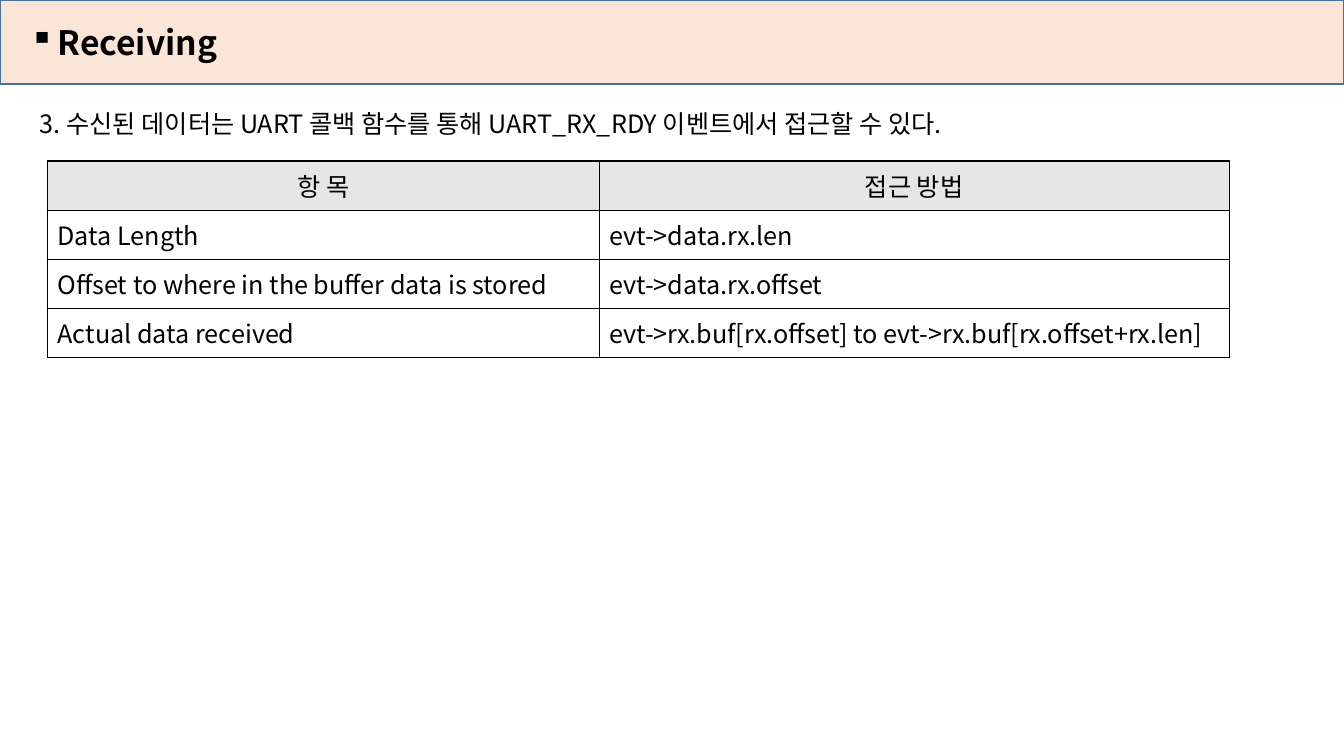
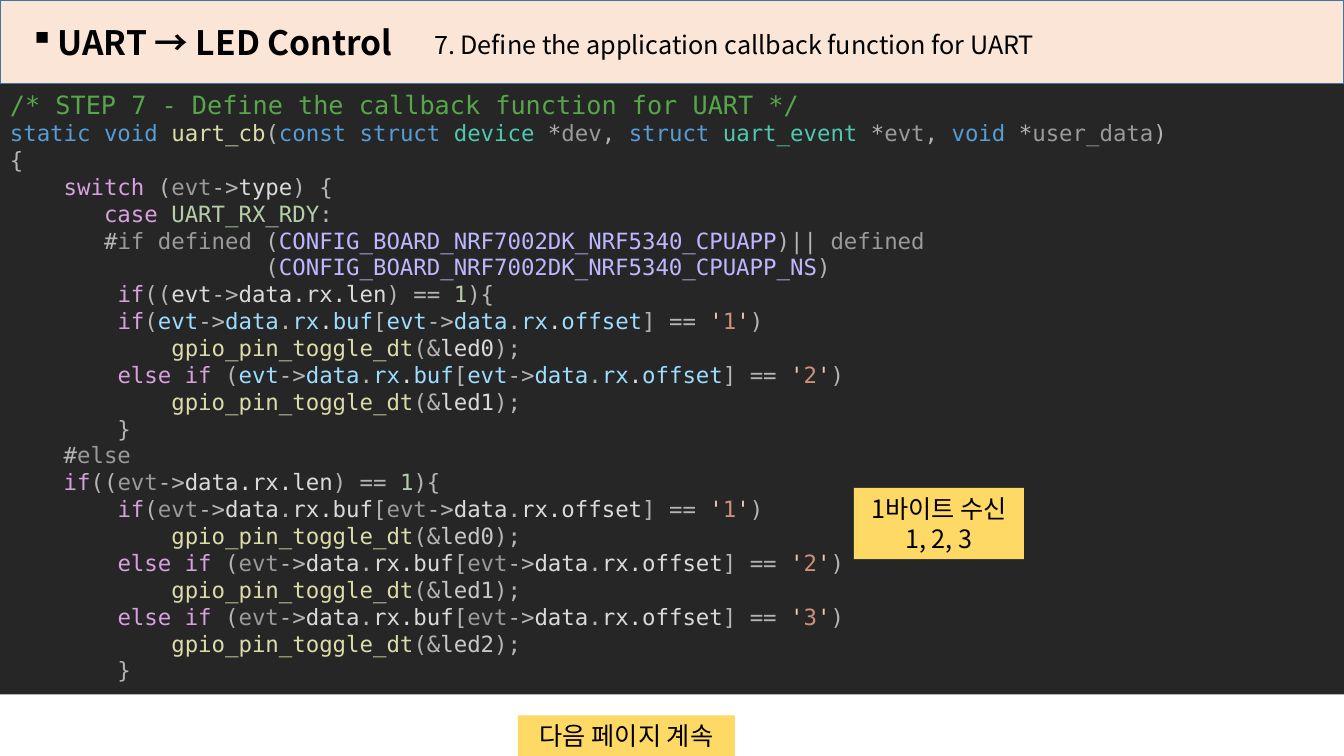
from itertools import groupby

from lxml.etree import SubElement
from pptx import Presentation
from pptx.dml.color import RGBColor
from pptx.enum.shapes import MSO_SHAPE as Shape
from pptx.enum.text import MSO_ANCHOR as Anchor, MSO_AUTO_SIZE as AutoSize, PP_ALIGN as Align
from pptx.oxml.ns import qn
from pptx.util import Pt

COLORS = {
    "black": "000000", "band": "FBE5D6", "band line": "43739E",
    "header": "E7E6E6", "panel": "262626", "label": "FFD966",
    "comment": "57A64A", "keyword": "569CD6", "control": "D8A0DF",
    "function": "DCDCAA", "type": "4EC9B0", "name": "9A9A9A",
    "macro": "BEB7FF", "constant": "B5CEA8", "member": "9CDCFE",
    "plain": "DADADA", "soft": "C8C8C8", "punctuation": "B4B4B4",
    "quote": "E8C9BB", "character": "CE9178",
}
TEXT_FONT = "Noto Sans CJK KR"
CODE_FONT = "DejaVu Sans Mono"
SLIDE_W, SLIDE_H, BAND_H = 960, 540, 60

RECEIVING = {
    "title": "Receiving",
    "step": "3. 수신된 데이터는 UART 콜백 함수를 통해 UART_RX_RDY 이벤트에서 접근할 수 있다.",
    "access": [
        ("항 목", "접근 방법"),
        ("Data Length", "evt->data.rx.len"),
        ("Offset to where in the buffer data is stored", "evt->data.rx.offset"),
        ("Actual data received", "evt->rx.buf[rx.offset] to evt->rx.buf[rx.offset+rx.len]"),
    ],
}
LED_CONTROL = {
    "title": "UART → LED Control",
    "step": "7. Define the application callback function for UART",
    "labels": [
        (["1바이트 수신", "1, 2, 3"], (610, 348.5, 121.5, 51)),
        (["다음 페이지 계속"], (370, 511, 155, 29)),
    ],
}
CODE = [
    ("/* STEP 7 - Define the callback function for UART */", "comment"),
    ("static void uart_cb(const struct device *dev, struct uart_event *evt, void *user_data)", ""),
    ("{", ""),
    ("    switch (evt->type) {", ""),
    ("       case UART_RX_RDY:", ""),
    ("       #if defined (CONFIG_BOARD_NRF7002DK_NRF5340_CPUAPP)|| defined", "directive"),
    ("                   (CONFIG_BOARD_NRF7002DK_NRF5340_CPUAPP_NS)", "directive"),
    ("        if((evt->data.rx.len) == 1){", "plain event"),
    ("        if(evt->data.rx.buf[evt->data.rx.offset] == '1')", "members"),
    ("            gpio_pin_toggle_dt(&led0);", ""),
    ("        else if (evt->data.rx.buf[evt->data.rx.offset] == '2')", "members"),
    ("            gpio_pin_toggle_dt(&led1);", ""),
    ("        }", ""),
    ("    #else", "directive"),
    ("    if((evt->data.rx.len) == 1){", ""),
    ("        if(evt->data.rx.buf[evt->data.rx.offset] == '1')", ""),
    ("            gpio_pin_toggle_dt(&led0);", "soft leds"),
    ("        else if (evt->data.rx.buf[evt->data.rx.offset] == '2')", ""),
    ("            gpio_pin_toggle_dt(&led1);", "soft leds"),
    ("        else if (evt->data.rx.buf[evt->data.rx.offset] == '3')", ""),
    ("            gpio_pin_toggle_dt(&led2);", "soft leds"),
    ("        }", ""),
]
VOCABULARY = {
    "keyword": "static void const struct",
    "control": "switch case if else",
    "function": "uart_cb gpio_pin_toggle_dt",
    "type": "device uart_event",
    "name": "dev evt user_data",
    "macro": "CONFIG_BOARD_NRF7002DK_NRF5340_CPUAPP CONFIG_BOARD_NRF7002DK_NRF5340_CPUAPP_NS",
    "constant": "UART_RX_RDY 1",
}
WORDS = {word: color for color, words in VOCABULARY.items() for word in words.split()}
EXCEPTIONS = {
    "directive": dict.fromkeys(["if", "else", "defined"], "name"),
    "plain event": {"evt": "plain"},
    "members": dict.fromkeys(["evt", "data", "rx", "buf", "offset"], "member"),
    "soft leds": dict.fromkeys(["led0", "led1", "led2"], "soft"),
}


def rgb(color):
    return RGBColor.from_string(COLORS[color])


def token_kind(char):
    if char.isalnum() or char == "_":
        return "word"
    return char if char in ".'" else "punctuation"


def highlight(line, mode):
    if mode == "comment":
        return [(line, "comment")]
    words = WORDS | EXCEPTIONS.get(mode, {})
    runs, previous = [], ""
    for kind, chars in groupby(line, token_kind):
        token = "".join(chars)
        if kind == "word":
            color = "character" if previous == "'" else words.get(token, "plain")
        elif kind == "'":
            color = "quote"
        elif kind == "." and (previous == "rx" or ".len" in line):
            color = "plain"
        else:
            color = "punctuation"
        runs.append((token, color))
        previous = token
    return runs


def write(frame, paragraphs, size=18, font=TEXT_FONT, color="black", bold=False,
          align=Align.LEFT, anchor=Anchor.TOP, spacing=None, bullet=None):
    frame.word_wrap = True
    frame.vertical_anchor = anchor
    for index, content in enumerate(paragraphs):
        paragraph = frame.add_paragraph() if index else frame.paragraphs[0]
        paragraph.alignment = align
        if spacing:
            paragraph.line_spacing = Pt(spacing)
        if bullet:
            properties = paragraph._p.get_or_add_pPr()
            properties.set("marL", str(Pt(34)))
            properties.set("indent", str(-Pt(20)))
            SubElement(properties, qn("a:buChar"), char=bullet)
        for text, run_color in [(content, color)] if isinstance(content, str) else content:
            run = paragraph.add_run()
            run.text = text
            run.font.size = Pt(size)
            run.font.bold = bold
            run.font.name = font
            run.font.color.rgb = rgb(run_color)
            SubElement(run._r.get_or_add_rPr(), qn("a:ea"), typeface=font)


def add_block(slide, box, fill):
    block = slide.shapes.add_shape(Shape.RECTANGLE, *map(Pt, box))
    block.shadow.inherit = False
    block.fill.solid()
    block.fill.fore_color.rgb = rgb(fill)
    block.line.fill.background()
    return block


def add_slide(deck, heading, step, step_at):
    slide = deck.slides.add_slide(deck.slide_layouts[5])
    band = slide.shapes.title
    band.left, band.top, band.width, band.height = map(Pt, (0, 0, SLIDE_W, BAND_H))
    band.fill.solid()
    band.fill.fore_color.rgb = rgb("band")
    band.line.color.rgb = rgb("band line")
    band.line.width = Pt(1)
    band.text_frame.auto_size = AutoSize.NONE
    write(band.text_frame, [heading], size=24, bold=True, anchor=Anchor.MIDDLE, bullet="▪")
    instruction = slide.shapes.add_textbox(*map(Pt, (*step_at, SLIDE_W - step_at[0], 32)))
    write(instruction.text_frame, [step], spacing=25)
    return slide


def add_access_table(slide, rows, left=34, top=115, widths=(394, 450), row_height=35.1):
    table = slide.shapes.add_table(
        len(rows), len(widths), Pt(left), Pt(top),
        Pt(sum(widths)), Pt(row_height * len(rows))).table
    for column, width in zip(table.columns, widths):
        column.width = Pt(width)
    for r, row in enumerate(rows):
        table.rows[r].height = Pt(row_height)
        for c, text in enumerate(row):
            cell = table.cell(r, c)
            write(cell.text_frame, [text], align=Align.LEFT if r else Align.CENTER)
            cell.vertical_anchor = Anchor.MIDDLE
            if r:
                cell.fill.background()
            else:
                cell.fill.solid()
                cell.fill.fore_color.rgb = rgb("header")
            add_borders(cell)


def add_borders(cell):
    properties = cell._tc.get_or_add_tcPr()
    for position, side in enumerate(("lnL", "lnR", "lnT", "lnB")):
        border = SubElement(properties, qn("a:" + side), w=str(Pt(1)))
        fill = SubElement(border, qn("a:solidFill"))
        SubElement(fill, qn("a:srgbClr"), val=COLORS["black"])
        properties.insert(position, border)


def main():
    deck = Presentation()
    deck.slide_width, deck.slide_height = Pt(SLIDE_W), Pt(SLIDE_H)

    receiving = add_slide(deck, RECEIVING["title"], RECEIVING["step"], (21.5, 70.5))
    add_access_table(receiving, RECEIVING["access"])

    control = add_slide(deck, LED_CONTROL["title"], LED_CONTROL["step"], (303, 14))
    listing = add_block(control, (0, BAND_H, SLIDE_W, 436), "panel").text_frame
    write(listing, [highlight(*line) for line in CODE], size=16, font=CODE_FONT)
    listing.paragraphs[0].runs[0].font.size = Pt(18)
    for lines, box in LED_CONTROL["labels"]:
        label = add_block(control, box, "label")
        write(label.text_frame, lines, align=Align.CENTER, anchor=Anchor.MIDDLE, spacing=21.5)

    deck.save("out.pptx")


if __name__ == "__main__":
    main()
